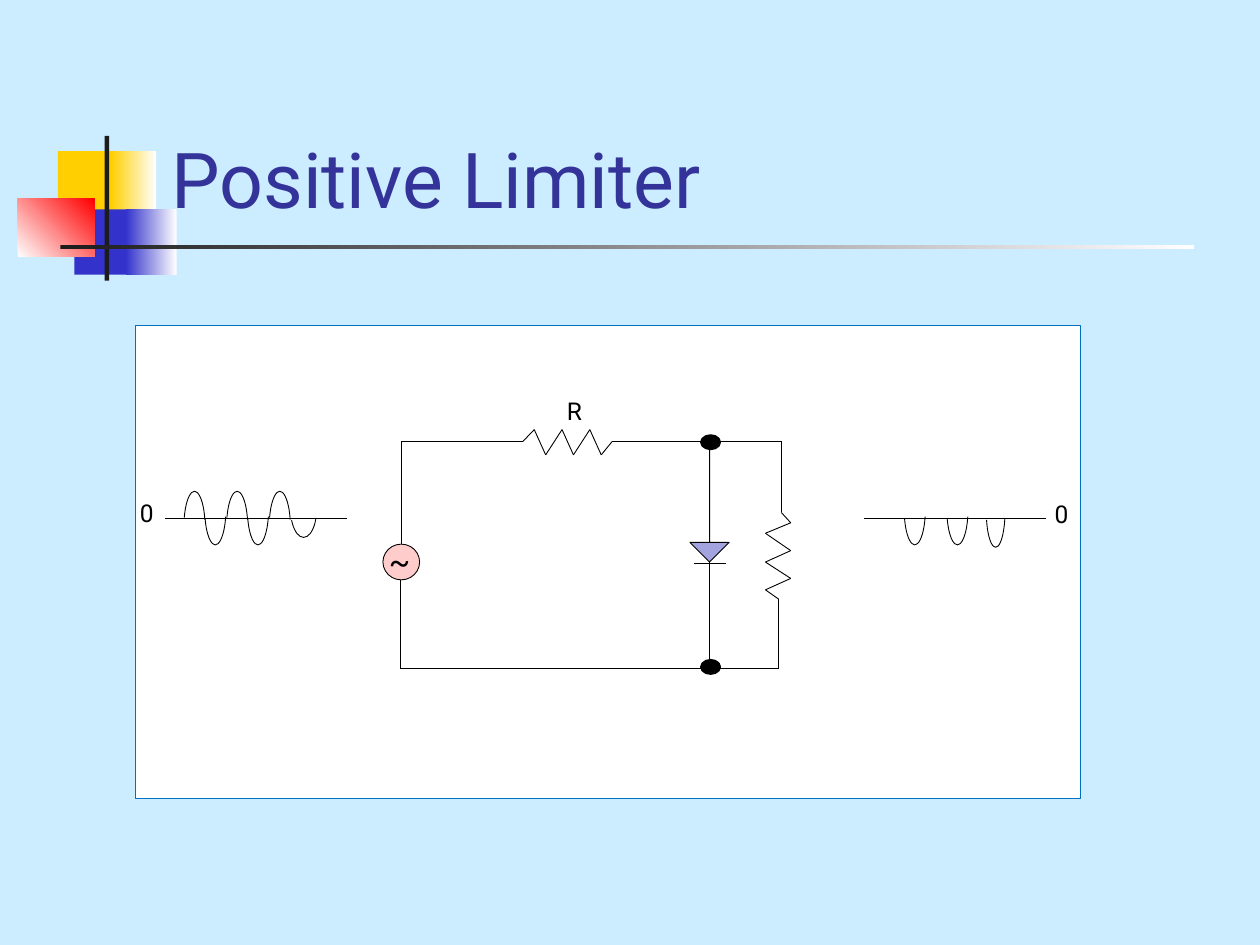
from dataclasses import dataclass
from itertools import pairwise
from typing import NamedTuple, Optional

from lxml.etree import SubElement
from pptx import Presentation
from pptx.dml.color import RGBColor as Rgb
from pptx.enum.shapes import MSO_CONNECTOR as Connector, MSO_SHAPE as Preset
from pptx.enum.text import MSO_ANCHOR as Anchor, MSO_AUTO_SIZE as AutoSize, PP_ALIGN as Align
from pptx.oxml.ns import qn
from pptx.util import Cm, Pt


@dataclass(frozen=True)
class Theme:
    font: str = "Roboto"
    title_size: int = 44
    label_size: int = 14
    tilde_size: int = 18
    thin: float = 0.5
    background: str = "CCECFF"
    title: str = "333399"
    yellow: str = "FFCF01"
    blue: str = "3333CC"
    red: str = "FF0000"
    dark: str = "1C1C1C"
    white: str = "FFFFFF"
    black: str = "000000"
    panel_edge: str = "0070C0"
    source: str = "FFCCCC"
    diode: str = "A3A3E0"


THEME = Theme()


class Box(NamedTuple):
    left: float
    top: float
    width: float
    height: float

    def lengths(self) -> list:
        return [Cm(value) for value in self]


class Block(NamedTuple):
    """A decorative rectangle; with a fade colour it is a gradient."""
    box: Box
    color: str
    fade: Optional[str] = None
    angle: int = 0


class Lobe(NamedTuple):
    """Half a wave, given by the centre of its ellipse."""
    x: float
    y: float
    rising: bool = False
    length: float = 1.47
    width: float = 0.43


class Label(NamedTuple):
    text: str
    box: Box
    size: int = THEME.label_size
    wrap: bool = False


BLOCKS = [
    Block(Box(1.17, 3.05, 1.22, 1.32), THEME.yellow),
    Block(Box(2.24, 3.05, 0.91, 1.32), THEME.yellow, THEME.white),
    Block(Box(1.5, 4.22, 1.17, 1.32), THEME.blue),
    Block(Box(2.54, 4.22, 1.02, 1.32), THEME.blue, THEME.white),
    Block(Box(0.36, 4.01, 1.55, 1.17), THEME.white, THEME.red, 45),
    Block(Box(2.11, 2.74, 0.09, 2.92), THEME.dark),
    Block(Box(1.22, 4.94, 22.86, 0.09), THEME.dark, THEME.white),
]

LOBE_STEP = 0.86
INPUT_WAVE = [Lobe(3.92 + LOBE_STEP * i, 10.64, rising=True) for i in range(3)]
INPUT_WAVE += [Lobe(4.34 + LOBE_STEP * i, 10.25) for i in range(2)]
INPUT_WAVE.append(Lobe(6.12, 10.25, length=1.17, width=0.53))
OUTPUT_WAVE = [Lobe(18.44 + LOBE_STEP * i, 10.25) for i in range(2)]
OUTPUT_WAVE.append(Lobe(20.07, 10.3, width=0.38))

INPUT_AXIS = [(3.33, 10.45), (6.99, 10.45)]
OUTPUT_AXIS = [(17.42, 10.46), (21.08, 10.46)]
SUPPLY_WIRE = [(8.1, 10.97), (8.1, 8.9), (10.54, 8.9)]
RESISTOR = [(10.54, 8.9), (10.77, 8.66), (11, 9.17), (11.33, 8.66),
            (11.56, 9.17), (11.89, 8.66), (12.12, 9.17), (12.34, 8.9)]
OUTPUT_WIRE = [(12.34, 8.9), (15.75, 8.9), (15.75, 10.33)]
LOAD = [(15.75, 10.33), (15.94, 10.54), (15.43, 10.75), (15.94, 11.1),
        (15.43, 11.33), (15.94, 11.66), (15.43, 11.89), (15.7, 12.08)]
RETURN_WIRE = [(15.7, 12.08), (15.7, 13.48), (8.08, 13.48), (8.08, 11.7)]
DIODE_WIRE = [(14.31, 11.33), (14.31, 13.44)]
CATHODE = [(14, 11.35), (14.63, 11.35)]
LINES = [INPUT_AXIS, OUTPUT_AXIS, SUPPLY_WIRE, RESISTOR, OUTPUT_WIRE,
         LOAD, RETURN_WIRE, DIODE_WIRE, CATHODE]

LABELS = [
    Label("R", Box(11.18, 7.85, 0.81, 0.86)),
    Label("0", Box(2.57, 9.91, 0.79, 0.86)),
    Label("0", Box(21.01, 9.93, 0.79, 0.86)),
    Label("~", Box(7.59, 10.8, 0.74, 0.76), THEME.tilde_size, wrap=True),
]


def add_shape(shapes, preset: Preset, box: Box, fill: Optional[str] = None,
              line: Optional[str] = None, weight: float = THEME.thin):
    shape = shapes.add_shape(preset, *box.lengths())
    shape.shadow.inherit = False
    if fill:
        shape.fill.solid()
        shape.fill.fore_color.rgb = Rgb.from_string(fill)
    else:
        shape.fill.background()
    if line:
        shape.line.color.rgb = Rgb.from_string(line)
        shape.line.width = Pt(weight)
    else:
        shape.line.fill.background()
    return shape


def add_block(shapes, block: Block) -> None:
    shape = add_shape(shapes, Preset.RECTANGLE, block.box, block.color)
    if block.fade:
        shape.fill.gradient()
        shape.fill.gradient_angle = block.angle
        for stop, color in zip(shape.fill.gradient_stops, (block.color, block.fade)):
            stop.color.rgb = Rgb.from_string(color)


def add_lobe(shapes, lobe: Lobe) -> None:
    box = Box(lobe.x - lobe.length / 2, lobe.y - lobe.width / 2, lobe.length, lobe.width)
    arc = add_shape(shapes, Preset.ARC, box, line=THEME.black)
    arc.adjustments[0], arc.adjustments[1] = 184.94, 27.3
    arc.rotation = 270 if lobe.rising else 90
    if lobe.rising:
        arc.element.spPr.xfrm.set("flipV", "1")


def add_chain(shapes, points: list) -> None:
    """Join the points one after the other with thin straight lines."""
    for start, end in pairwise(points):
        line = shapes.add_connector(Connector.STRAIGHT, *map(Cm, start + end))
        line.line.color.rgb = Rgb.from_string(THEME.black)
        line.line.width = Pt(THEME.thin)
        SubElement(line.element.spPr, qn("a:effectLst"))


def style_text(para, size: int, color: str) -> None:
    para.font.name = THEME.font
    para.font.size = Pt(size)
    para.font.color.rgb = Rgb.from_string(color)


def add_label(shapes, label: Label) -> None:
    frame = shapes.add_textbox(*label.box.lengths()).text_frame
    frame.word_wrap = label.wrap
    frame.auto_size = AutoSize.SHAPE_TO_FIT_TEXT
    frame.text = label.text
    style_text(frame.paragraphs[0], label.size, THEME.black)


def set_title(slide, text: str, box: Box) -> None:
    title = slide.shapes.title
    title.left, title.top, title.width, title.height = box.lengths()
    frame = title.text_frame
    frame.text = text
    frame.vertical_anchor = Anchor.BOTTOM
    frame.auto_size = AutoSize.NONE
    para = frame.paragraphs[0]
    para.alignment = Align.LEFT
    style_text(para, THEME.title_size, THEME.title)
    slide.shapes.element.append(title.element)  # in front of the blocks


def draw_circuit(shapes) -> None:
    add_shape(shapes, Preset.RECTANGLE, Box(2.73, 6.56, 19.05, 9.53),
              THEME.white, THEME.panel_edge, 0.25)
    for lobe in INPUT_WAVE + OUTPUT_WAVE:
        add_lobe(shapes, lobe)
    for points in LINES:
        add_chain(shapes, points)
    add_shape(shapes, Preset.OVAL, Box(7.72, 10.97, 0.74, 0.72), THEME.source, THEME.black)
    diode = add_shape(shapes, Preset.DOWN_ARROW, Box(13.91, 8.9, 0.79, 2.43),
                      THEME.diode, THEME.black)
    diode.adjustments[0], diode.adjustments[1] = 0, 0.5
    for top in (8.79, 13.32):
        add_shape(shapes, Preset.OVAL, Box(14.15, top, 0.35, 0.25),
                  THEME.black, THEME.black, 2)
    for label in LABELS:
        add_label(shapes, label)


def main() -> None:
    deck = Presentation()
    deck.slide_width, deck.slide_height = Cm(25.4), Cm(19.05)
    slide = deck.slides.add_slide(deck.slide_layouts.get_by_name("Title Only"))
    slide.background.fill.solid()
    slide.background.fill.fore_color.rgb = Rgb.from_string(THEME.background)
    for block in BLOCKS:
        add_block(slide.shapes, block)
    set_title(slide, "Positive Limiter", Box(3.2, 0.58, 21.64, 4.06))
    draw_circuit(slide.shapes.add_group_shape().shapes)
    deck.save("out.pptx")


if __name__ == "__main__":
    main()
